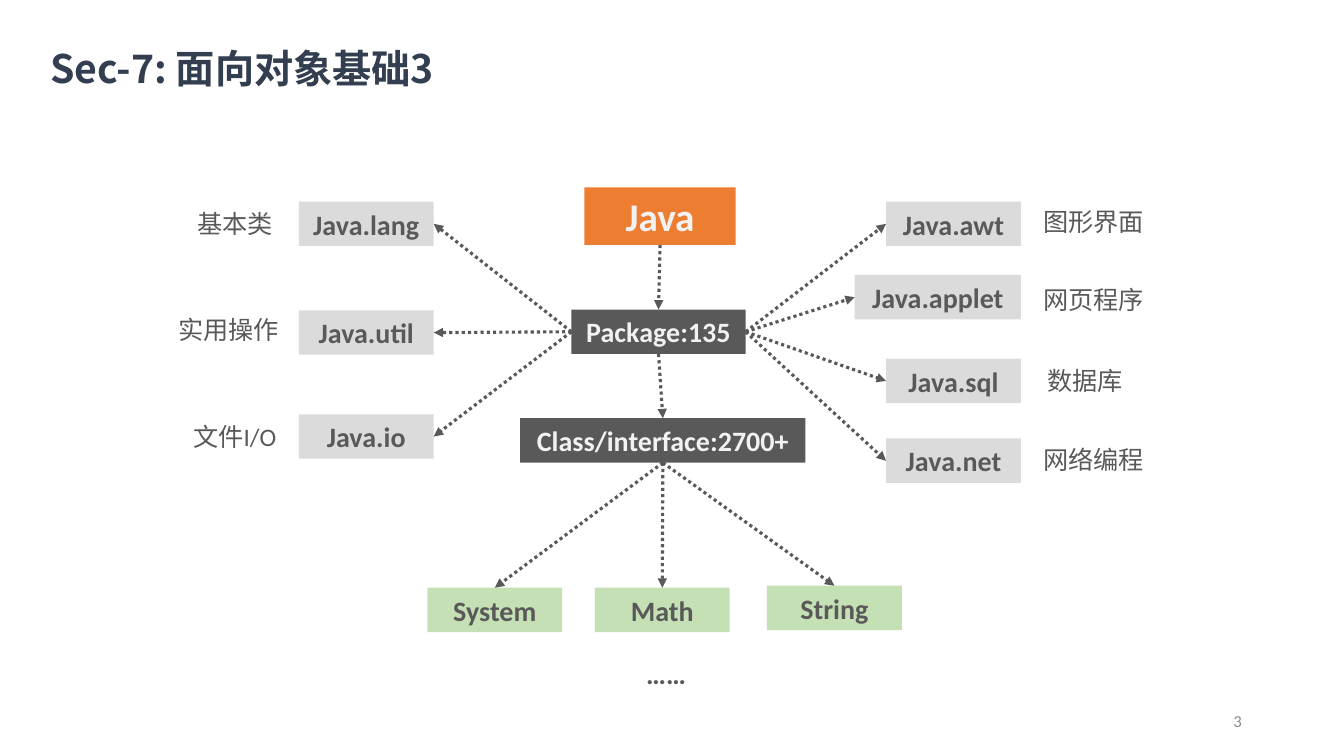
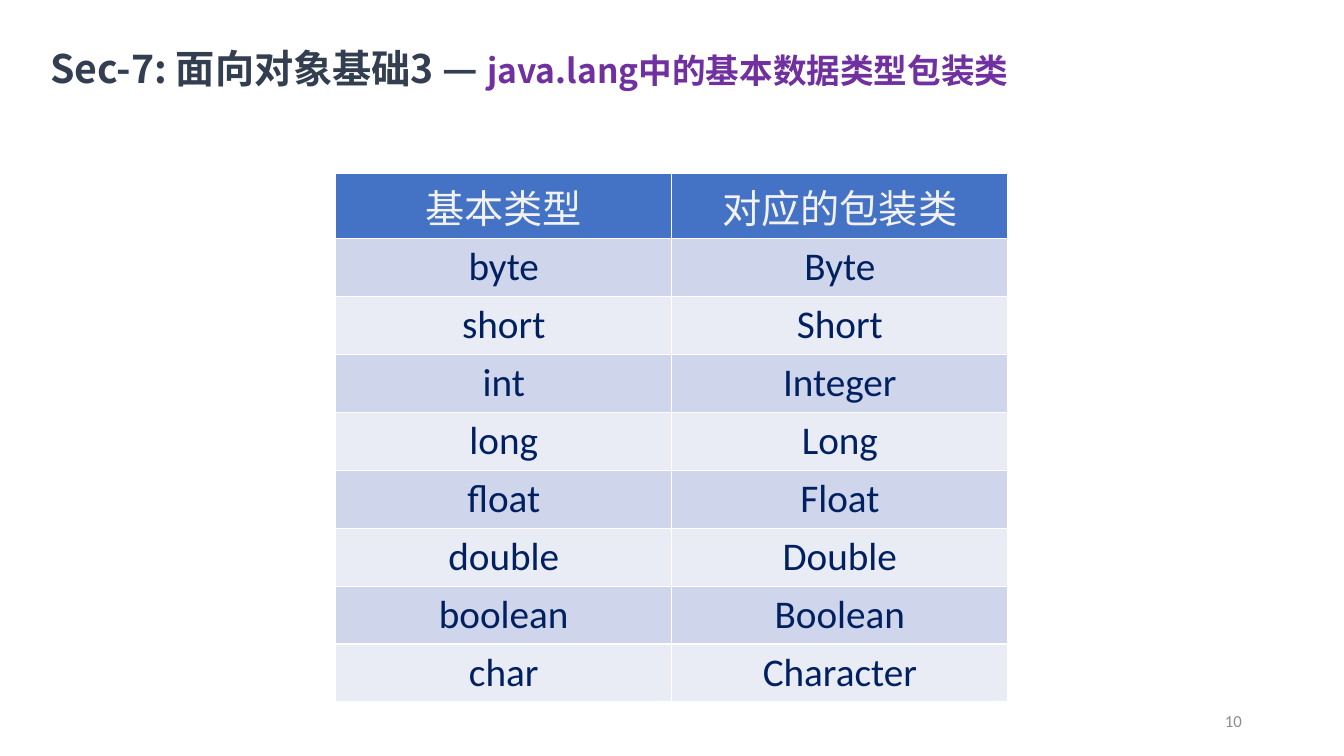
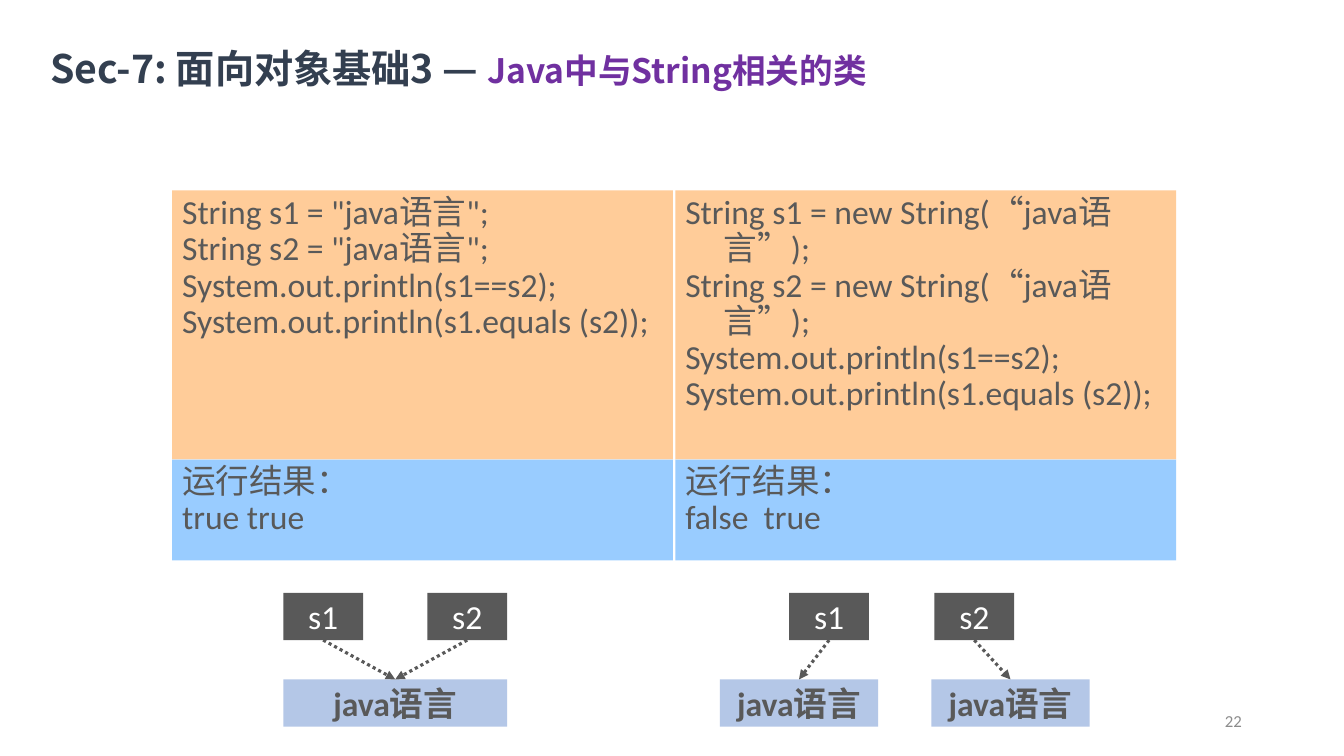
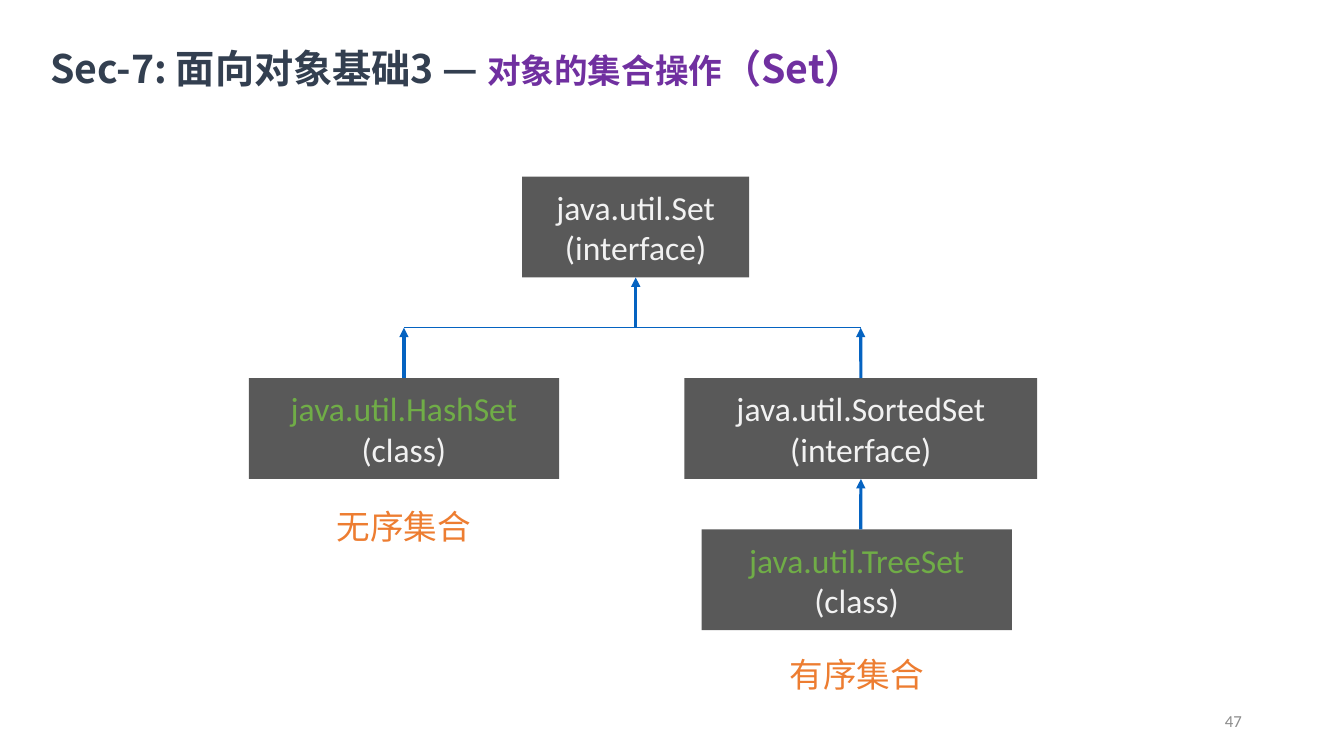
"""Build four slides on Java packages, wrapper classes, strings and sets."""
from dataclasses import dataclass

from lxml import etree
from pptx import Presentation
from pptx.dml.color import RGBColor
from pptx.enum.dml import MSO_LINE
from pptx.enum.shapes import MSO_CONNECTOR, MSO_SHAPE
from pptx.enum.text import MSO_ANCHOR, MSO_AUTO_SIZE, PP_ALIGN
from pptx.oxml.ns import qn
from pptx.util import Cm, Pt

RECTANGLE = MSO_SHAPE.RECTANGLE
STRAIGHT = MSO_CONNECTOR.STRAIGHT
DOTTED = MSO_LINE.ROUND_DOT
LEFT, CENTER, RIGHT = PP_ALIGN.LEFT, PP_ALIGN.CENTER, PP_ALIGN.RIGHT
TOP, MIDDLE = MSO_ANCHOR.TOP, MSO_ANCHOR.MIDDLE
SIDE_TOP, SIDE_LEFT, SIDE_BOTTOM, SIDE_RIGHT = range(4)


@dataclass(frozen=True)
class Theme:
    """Colours, fonts and type sizes of the deck."""
    navy: RGBColor = RGBColor.from_string("333F50")
    purple: RGBColor = RGBColor.from_string("7030A0")
    dark: RGBColor = RGBColor.from_string("595959")
    light: RGBColor = RGBColor.from_string("F2F2F2")
    white: RGBColor = RGBColor.from_string("FFFFFF")
    number: RGBColor = RGBColor.from_string("8C8C8C")
    silver: RGBColor = RGBColor.from_string("DBDBDB")
    orange: RGBColor = RGBColor.from_string("ED7D31")
    green: RGBColor = RGBColor.from_string("70AD47")
    pale_green: RGBColor = RGBColor.from_string("C5E0B4")
    pale_blue: RGBColor = RGBColor.from_string("B4C7E7")
    peach: RGBColor = RGBColor.from_string("FFCC99")
    sky: RGBColor = RGBColor.from_string("99CCFF")
    link: RGBColor = RGBColor.from_string("0563C1")
    table_head: RGBColor = RGBColor.from_string("4472C4")
    table_odd: RGBColor = RGBColor.from_string("CFD5EA")
    table_even: RGBColor = RGBColor.from_string("E9EBF5")
    table_text: RGBColor = RGBColor.from_string("002060")
    body_font: str = "Calibri"
    title_font: str = "Noto Sans CJK SC"
    large: Pt = Pt(28)
    medium: Pt = Pt(24)
    small: Pt = Pt(20)
    label: Pt = Pt(18)
    tiny: Pt = Pt(12)


theme = Theme()


def add_box(slide, lines, left, top, width, height, fill=None, color=theme.dark, size=theme.small,
            bold=False, align=CENTER, anchor=MIDDLE, hanging=0, spacing=None):
    place = Cm(left), Cm(top), Cm(width), Cm(height)
    if fill is None:
        box = slide.shapes.add_textbox(*place)
    else:
        box = slide.shapes.add_shape(RECTANGLE, *place)
        box.shadow.inherit = False
        box.fill.solid()
        box.fill.fore_color.rgb = fill
        box.line.fill.background()
    frame = box.text_frame
    frame.word_wrap = True
    frame.vertical_anchor = anchor
    for index, line in enumerate(lines):
        paragraph = frame.add_paragraph() if index else frame.paragraphs[0]
        paragraph.alignment = align
        paragraph.line_spacing = spacing
        if hanging:
            properties = paragraph._p.get_or_add_pPr()
            properties.set("marL", str(Cm(hanging)))
            properties.set("indent", str(-Cm(hanging)))
        run = paragraph.add_run()
        run.text = line
        run.font.name = theme.body_font
        run.font.size = size
        run.font.bold = bold
        run.font.color.rgb = color
    return box


def add_link(slide, begin, end, color=theme.dark, width=2.25, dash=DOTTED, arrow=True):
    connector = slide.shapes.add_connector(STRAIGHT, 0, 0, 0, 0)
    if hasattr(begin[0], "shape_id"):
        connector.begin_connect(*begin)
    else:
        connector.begin_x, connector.begin_y = Cm(begin[0]), Cm(begin[1])
    if hasattr(end[0], "shape_id"):
        connector.end_connect(*end)
    else:
        connector.end_x, connector.end_y = Cm(end[0]), Cm(end[1])
    connector.line.color.rgb = color
    connector.line.width = Pt(width)
    if dash:
        connector.line.dash_style = dash
    if arrow:
        etree.SubElement(connector.line._get_or_add_ln(), qn("a:tailEnd"), type="triangle")
    etree.SubElement(connector._element.spPr, qn("a:effectLst"))


presentation = Presentation()
presentation.slide_width, presentation.slide_height = Cm(33.87), Cm(19.05)
title_only = presentation.slide_layouts[5]

section = "Sec-7: 面向对象基础3"
headings = [
    ("3", [(section, theme.large, theme.navy)]),
    ("10", [(section + " — ", theme.large, theme.navy),
            ("java.lang中的基本数据类型包装类", theme.medium, theme.purple)]),
    ("22", [(section + " — ", theme.large, theme.navy),
            ("Java中与String相关的类", theme.medium, theme.purple)]),
    ("47", [(section + " — ", theme.large, theme.navy),
            ("对象的集合操作", theme.medium, theme.purple),
            ("（Set）", theme.large, theme.purple)]),
]
slides = []
for number, parts in headings:
    slide = presentation.slides.add_slide(title_only)
    title = slide.shapes.title
    title.left, title.top, title.width, title.height = Cm(1.27), Cm(1.07), Cm(27.08), Cm(1.22)
    frame = title.text_frame
    frame.auto_size = MSO_AUTO_SIZE.NONE
    frame.vertical_anchor = TOP
    frame.margin_left = frame.margin_right = frame.margin_bottom = 0
    frame.margin_top = Cm(0.05)
    paragraph = frame.paragraphs[0]
    paragraph.alignment = LEFT
    for text, size, color in parts:
        run = paragraph.add_run()
        run.text = text
        run.font.name = theme.title_font
        run.font.size = size
        run.font.bold = True
        run.font.color.rgb = color
    add_box(slide, [number], 23.93, 17.65, 7.62, 1.02, color=theme.number, size=theme.tiny, align=RIGHT)
    slides.append(slide)
package_slide, wrapper_slide, string_slide, set_slide = slides

java = add_box(package_slide, ["Java"], 14.73, 4.72, 3.81, 1.45, theme.orange, theme.light, theme.large, True)
package_count = add_box(package_slide, ["Package:135"], 14.4, 7.8, 4.39, 1.12, theme.dark, theme.light, bold=True)
class_count = add_box(package_slide, ["Class/interface:2700+"], 13.11, 10.54, 7.19, 1.12,
                      theme.dark, theme.light, bold=True)
add_link(package_slide, (java, SIDE_BOTTOM), (package_count, SIDE_TOP))
add_link(package_slide, (package_count, SIDE_BOTTOM), (class_count, SIDE_TOP))

packages = [
    ("Java.lang", 7.53, 5.08, 3.4, "基本类", 4.72, 5.13),
    ("Java.util", 7.53, 7.82, 3.4, "实用操作", 4.24, 7.8),
    ("Java.io", 7.53, 10.44, 3.4, "文件I/O", 4.62, 10.49),
    ("Java.awt", 22.33, 5.08, 3.4, "图形界面", 26.04, 5.08),
    ("Java.applet", 21.54, 6.93, 4.19, "网页程序", 26.04, 7.04),
    ("Java.sql", 22.33, 9.04, 3.4, "数据库", 26.14, 9.09),
    ("Java.net", 22.33, 11.05, 3.4, "网络编程", 26.04, 11.07),
]
for name, left, top, width, purpose, label_left, label_top in packages:
    package_box = add_box(package_slide, [name], left, top, width, 1.12, theme.silver, bold=True)
    add_box(package_slide, [purpose], label_left, label_top, 3.3, 1.02,
            size=theme.label, align=LEFT, anchor=TOP)
    if label_left < left:
        add_link(package_slide, (package_count, SIDE_LEFT), (package_box, SIDE_RIGHT))
    else:
        add_link(package_slide, (package_count, SIDE_RIGHT), (package_box, SIDE_LEFT))

for name, left, top in [("System", 10.77, 14.81), ("Math", 14.99, 14.81), ("String", 19.33, 14.76)]:
    class_box = add_box(package_slide, [name], left, top, 3.4, 1.12, theme.pale_green, bold=True)
    add_link(package_slide, (class_count, SIDE_BOTTOM), (class_box, SIDE_TOP))
add_box(package_slide, ["……"], 15.09, 16.41, 3.4, 1.12, bold=True)

wrappers = [
    ("基本类型", "对应的包装类"),
    ("byte", "Byte"),
    ("short", "Short"),
    ("int", "Integer"),
    ("long", "Long"),
    ("float", "Float"),
    ("double", "Double"),
    ("boolean", "Boolean"),
    ("char", "Character"),
]
table = wrapper_slide.shapes.add_table(len(wrappers), 2, Cm(8.46), Cm(4.37), Cm(16.94), Cm(13.32)).table
for row_index, names in enumerate(wrappers):
    table.rows[row_index].height = Cm(1.46 if row_index else 1.64)
    if row_index == 0:
        fill, color = theme.table_head, theme.light
    else:
        fill, color = (theme.table_odd if row_index % 2 else theme.table_even), theme.table_text
    for column_index, name in enumerate(names):
        cell = table.cell(row_index, column_index)
        cell.fill.solid()
        cell.fill.fore_color.rgb = fill
        cell.margin_left = cell.margin_right = 0
        paragraph = cell.text_frame.paragraphs[0]
        paragraph.alignment = CENTER
        run = paragraph.add_run()
        run.text = name
        run.font.name = theme.body_font
        run.font.size = theme.large
        run.font.bold = False
        run.font.color.rgb = color

prints = ["System.out.println(s1==s2);", "System.out.println(s1.equals (s2));"]
examples = [
    (4.34, ['String s1 = "java语言";', 'String s2 = "java语言";'], "true true"),
    (17.02, ["String s1 = new String(“java语言”);", "String s2 = new String(“java语言”);"], "false  true"),
]
for left, declarations, result in examples:
    for lines, top, height, fill in [(declarations + prints, 4.8, 6.78, theme.peach),
                                     (["运行结果：", result], 11.58, 2.54, theme.sky)]:
        add_box(string_slide, lines, left, top, 12.62, height, fill, size=theme.medium,
                align=LEFT, anchor=TOP, hanging=0.97, spacing=0.9)

values = [add_box(string_slide, ["java语言"], left, 17.12, width, 1.19, theme.pale_blue,
                  size=theme.medium, bold=True)
          for left, width in [(7.14, 5.64), (18.14, 3.99), (23.47, 3.99)]]
for name, left, value in [("s1", 7.14, values[0]), ("s2", 10.77, values[0]),
                          ("s1", 19.89, values[1]), ("s2", 23.55, values[2])]:
    variable = add_box(string_slide, [name], left, 14.94, 2.01, 1.19, theme.dark, theme.white, theme.medium)
    add_link(string_slide, (variable, SIDE_BOTTOM), (value, SIDE_TOP))

set_types = [
    ("Set", "(interface)", 13.16, 4.45, 5.72),
    ("SortedSet", "(interface)", 17.25, 9.53, 8.89),
    ("HashSet", "(class)", 6.27, 9.53, 7.82),
    ("TreeSet", "(class)", 17.68, 13.34, 7.82),
]
set_boxes = {}
for name, kind, left, top, width in set_types:
    box = add_box(set_slide, ["java.util." + name, kind], left, top, width, 2.54,
                  theme.dark, theme.light, theme.medium)
    if kind == "(class)":
        box.text_frame.paragraphs[0].runs[0].font.color.rgb = theme.green
    set_boxes[name] = box
for text, left, top in [("无序集合", 6.27, 12.52), ("有序集合", 17.68, 16.26)]:
    add_box(set_slide, [text], left, top, 7.82, 1.47, color=theme.orange, size=theme.medium)

bar_top, bar_left, bar_right = 8.26, 10.18, 21.69
add_link(set_slide, (bar_left, bar_top), (bar_right, bar_top), theme.link, 0.75, None, False)
for begin, end in [
    ((16.02, bar_top), (set_boxes["Set"], SIDE_BOTTOM)),
    ((set_boxes["HashSet"], SIDE_TOP), (bar_left, bar_top)),
    ((set_boxes["SortedSet"], SIDE_TOP), (bar_right, bar_top)),
    ((bar_right, 13.34), (set_boxes["SortedSet"], SIDE_BOTTOM)),
]:
    add_link(set_slide, begin, end, theme.link, dash=None)

presentation.save("out.pptx")
